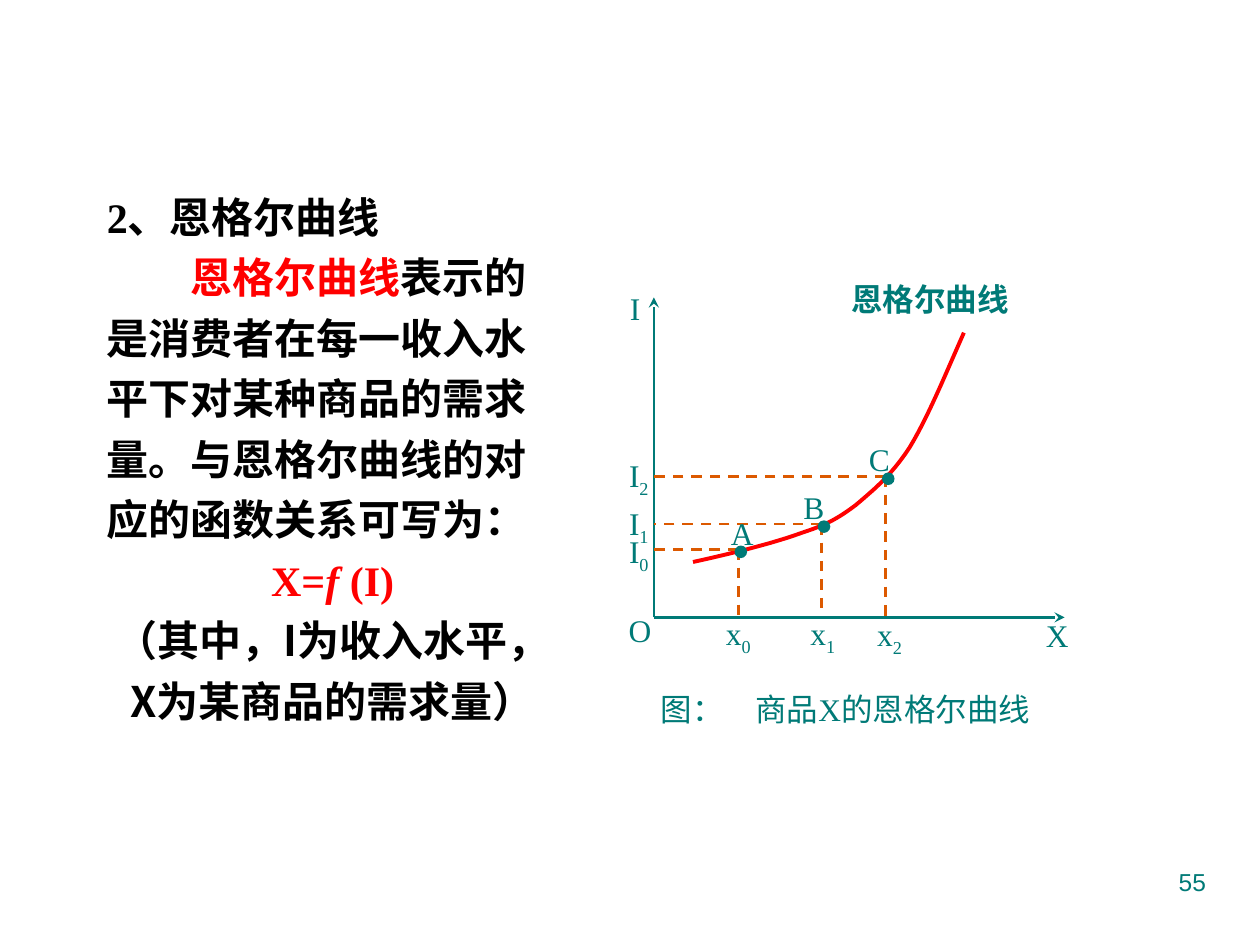
from lxml import etree
from pptx import Presentation
from pptx.dml.color import RGBColor
from pptx.enum.dml import MSO_LINE
from pptx.enum.shapes import MSO_CONNECTOR, MSO_SHAPE
from pptx.enum.text import MSO_AUTO_SIZE, PP_ALIGN
from pptx.oxml.ns import qn
from pptx.util import Pt

PX = 9144  # 100 px to the inch
TEAL = RGBColor(0x00, 0x7A, 0x77)
RED = RGBColor(0xFF, 0x00, 0x00)
BLACK = RGBColor(0x00, 0x00, 0x00)
ORANGE = RGBColor(0xDC, 0x59, 0x00)
SERIF, SANS, HAN = "Times New Roman", "Arial", "Noto Sans CJK SC"
LEFT, CENTER, RIGHT = PP_ALIGN.LEFT, PP_ALIGN.CENTER, PP_ALIGN.RIGHT

# alignment, first-line indent in points, runs of (text, style)
EXPLANATION = [
    (LEFT, 0, [("2、恩格尔曲线", {})]),
    (LEFT, 48, [
        ("恩格尔曲线", {"color": RED}),
        ("表示的是消费者在每一收入水平下对某种商品的需求量。"
         "与恩格尔曲线的对应的函数关系可写为：", {}),
    ]),
    (CENTER, 0, [
        ("X=", {"color": RED}),
        ("f", {"color": RED, "italic": True}),
        (" (I)", {"color": RED}),
    ]),
    (CENTER, 0, [("（其中，I为收入水平，X为某商品的需求量）", {"font": HAN})]),
]

# text, subscript, left, top
LABELS = [
    ("O", "", 488, 481), ("X", "", 819, 485), ("I", "", 484, 225),
    ("A", "", 569, 404), ("B", "", 626, 383), ("C", "", 678, 345),
    ("x", "0", 566, 483), ("x", "1", 633, 483), ("x", "2", 686, 484),
    ("I", "0", 487, 418), ("I", "1", 487, 396), ("I", "2", 487, 358),
]
LABEL_SIZE = (40, 35)
LABEL_INSETS = (6, 4)
TEXT_INSETS = (10, 5)

ORIGIN = (519, 490)
AXIS_ENDS = [(519, 236), (845, 490)]
POINTS = [(586, 436), (652, 416), (703, 378)]  # A, B, C
DOT = 10
CURVE_START = (550, 446)
CURVE = [  # two control points and an end point for each Bezier piece
    [(582, 439), (614, 431), (636, 423)],
    [(657, 416), (664, 412), (679, 401)],
    [(693, 389), (707, 378), (722, 355)],
    [(736, 332), (750, 298), (765, 264)],
]
STEPS = 12


def add_run(para, text, size, font=SERIF, color=TEAL,
            bold=False, italic=False, subscript=False):
    span = para.add_run()
    span.text = text
    span.font.size = Pt(size)
    span.font.name = font
    span.font.color.rgb = color
    span.font.bold = bold
    span.font.italic = italic
    properties = span._r.get_or_add_rPr()
    etree.SubElement(properties, qn("a:ea")).set("typeface", HAN)
    if subscript:
        properties.set("baseline", "-25000")


def add_text_box(slide, left, top, width, height, insets=TEXT_INSETS, align=CENTER):
    box = slide.shapes.add_textbox(left * PX, top * PX, width * PX, height * PX)
    frame = box.text_frame
    frame.word_wrap = True
    frame.margin_left = frame.margin_right = insets[0] * PX
    frame.margin_top = frame.margin_bottom = insets[1] * PX
    frame.paragraphs[0].alignment = align
    return frame


def add_line(slide, start, end, color, dashed=False, arrow=False):
    line = slide.shapes.add_connector(
        MSO_CONNECTOR.STRAIGHT, *(value * PX for value in start + end))
    line.line.color.rgb = color
    line.line.width = Pt(1.5)
    if dashed:
        line.line.dash_style = MSO_LINE.DASH
    if arrow:
        etree.SubElement(line.line._get_or_add_ln(), qn("a:tailEnd")).set("type", "stealth")
    etree.SubElement(line._element.spPr, qn("a:effectLst"))


def bezier_points(start, pieces):
    """Sample the joined cubic pieces, leaving out the start point."""
    points = []
    for first, second, end in pieces:
        for step in range(1, STEPS + 1):
            t = step / STEPS
            u = 1 - t
            points.append(tuple(
                round(PX * (u**3 * a + 3 * u * u * t * b + 3 * u * t * t * c + t**3 * d))
                for a, b, c, d in zip(start, first, second, end)))
        start = end
    return points


def add_explanation(slide):
    frame = add_text_box(slide, 75, 139, 378, 442)
    frame.auto_size = MSO_AUTO_SIZE.SHAPE_TO_FIT_TEXT
    for index, (align, indent, runs) in enumerate(EXPLANATION):
        para = frame.add_paragraph() if index else frame.paragraphs[0]
        para.alignment = align
        para.line_spacing = 1.2
        if indent:
            properties = para._p.get_or_add_pPr()
            properties.set("marL", "0")
            properties.set("indent", str(Pt(indent)))
        for text, style in runs:
            add_run(para, text, 24, bold=True, **{"color": BLACK, **style})


def add_curve(slide):
    builder = slide.shapes.build_freeform(*(value * PX for value in CURVE_START))
    builder.add_line_segments(bezier_points(CURVE_START, CURVE), close=False)
    curve = builder.convert_to_shape()
    curve.shadow.inherit = False
    curve.fill.background()
    curve.line.color.rgb = RED
    curve.line.width = Pt(2.25)


def add_diagram(slide):
    caption = add_text_box(slide, 488, 543, 366, 36)
    add_run(caption.paragraphs[0], "图：　商品X的恩格尔曲线", 18)
    for end in AXIS_ENDS:
        add_line(slide, ORIGIN, end, TEAL, arrow=True)
    add_curve(slide)
    curve_name = add_text_box(slide, 637, 218, 202, 35, LABEL_INSETS)
    add_run(curve_name.paragraphs[0], "恩格尔曲线", 18, bold=True)

    for x, y in POINTS:
        add_line(slide, (x, y), (x, ORIGIN[1] - 1), ORANGE, dashed=True)
        add_line(slide, (x, y), (ORIGIN[0], y), ORANGE, dashed=True)
    for text, subscript, left, top in LABELS:
        para = add_text_box(slide, left, top, *LABEL_SIZE, LABEL_INSETS).paragraphs[0]
        add_run(para, text, 18)
        if subscript:
            add_run(para, subscript, 18, subscript=True)
    for x, y in POINTS:
        dot = slide.shapes.add_shape(
            MSO_SHAPE.OVAL, (x - 3) * PX, (y - 3) * PX, DOT * PX, DOT * PX)
        dot.shadow.inherit = False
        dot.fill.solid()
        dot.fill.fore_color.rgb = TEAL
        dot.line.fill.background()


def main():
    deck = Presentation()
    deck.slide_width, deck.slide_height = 1000 * PX, 750 * PX
    slide = deck.slides.add_slide(deck.slide_layouts[6])
    add_explanation(slide)
    add_diagram(slide)
    page_number = add_text_box(slide, 717, 683, 250, 52, align=RIGHT)
    add_run(page_number.paragraphs[0], "55", 14, font=SANS)
    deck.save("out.pptx")


if __name__ == "__main__":
    main()
